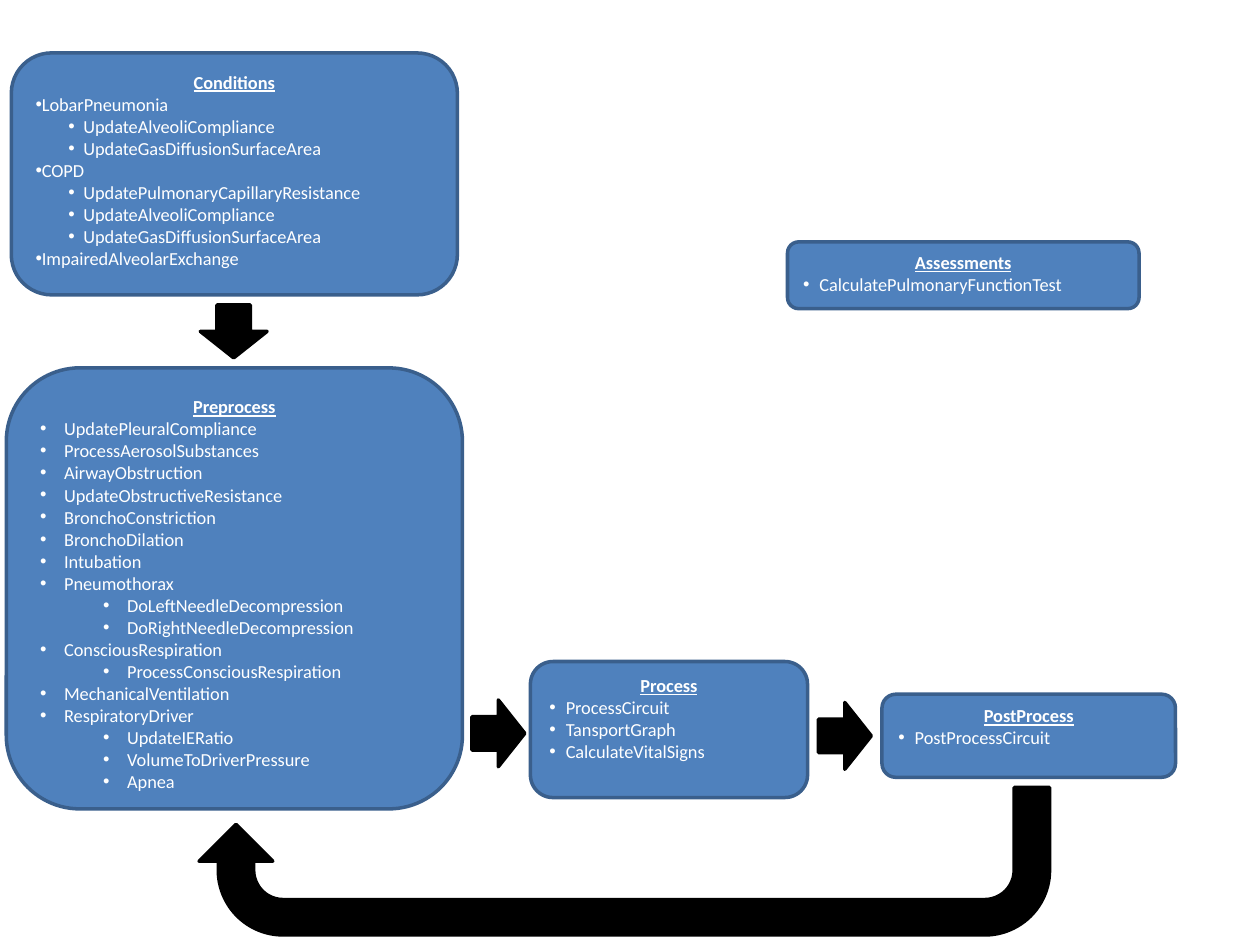
import dataclasses
import typing

import lxml.etree
import pptx
import pptx.dml.color
import pptx.enum.shapes
import pptx.enum.text
import pptx.oxml.ns
import pptx.util

Inches = pptx.util.Inches
Pt = pptx.util.Pt
RGB = pptx.dml.color.RGBColor
Shape = pptx.enum.shapes.MSO_SHAPE
Align = pptx.enum.text.PP_ALIGN
qn = pptx.oxml.ns.qn


@dataclasses.dataclass(frozen=True)
class Theme:
    box_fill: RGB = RGB(0x4F, 0x81, 0xBD)
    box_line: RGB = RGB(0x3A, 0x5F, 0x8C)
    arrow: RGB = RGB(0, 0, 0)
    text: RGB = RGB(255, 255, 255)
    font: str = "Calibri"
    text_size: float = 10.5
    line_width: float = 2


THEME = Theme()


class Area(typing.NamedTuple):
    left: float
    top: float
    width: float
    height: float


class Indent(typing.NamedTuple):
    margin: float
    hanging: float


class Item(typing.NamedTuple):
    text: str
    level: int = 0


@dataclasses.dataclass(frozen=True)
class Stage:
    heading: str
    area: Area
    items: tuple[Item, ...]
    indents: tuple[Indent, ...] = (Indent(0.13, 0.13),)


@dataclasses.dataclass(frozen=True)
class Arrow:
    area: Area
    rotation: float = 0
    preset: Shape = Shape.DOWN_ARROW
    adjustments: tuple[float, ...] = ()


STAGES = (
    Stage("Preprocess", Area(0.05, 2.92, 3.62, 3.5), (
        Item("UpdatePleuralCompliance"),
        Item("ProcessAerosolSubstances"),
        Item("AirwayObstruction"),
        Item("UpdateObstructiveResistance"),
        Item("BronchoConstriction"),
        Item("BronchoDilation"),
        Item("Intubation"),
        Item("Pneumothorax"),
        Item("DoLeftNeedleDecompression", 1),
        Item("DoRightNeedleDecompression", 1),
        Item("ConsciousRespiration"),
        Item("ProcessConsciousRespiration", 1),
        Item("MechanicalVentilation"),
        Item("RespiratoryDriver"),
        Item("UpdateIERatio", 1),
        Item("VolumeToDriverPressure", 1),
        Item("Apnea", 1),
    ), (Indent(0.19, 0.19), Indent(0.69, 0.19))),
    Stage("Process", Area(4.21, 5.25, 2.2, 1.08), (
        Item("ProcessCircuit"),
        Item("TansportGraph"),
        Item("CalculateVitalSigns"),
    )),
    Stage("PostProcess", Area(7, 5.51, 2.33, 0.66), (Item("PostProcessCircuit"),)),
    Stage("Conditions", Area(0.09, 0.42, 3.54, 1.92), (
        Item("LobarPneumonia"),
        Item("UpdateAlveoliCompliance", 1),
        Item("UpdateGasDiffusionSurfaceArea", 1),
        Item("COPD"),
        Item("UpdatePulmonaryCapillaryResistance", 1),
        Item("UpdateAlveoliCompliance", 1),
        Item("UpdateGasDiffusionSurfaceArea", 1),
        Item("ImpairedAlveolarExchange"),
    ), (Indent(0, 0.24), Indent(0.38, 0.12))),
    Stage("Assessments", Area(6.25, 1.92, 2.79, 0.53),
          (Item("CalculatePulmonaryFunctionTest"),)),
)

ARROWS = (
    Arrow(Area(3.69, 5.61, 0.53, 0.42), 270),  # Preprocess to Process
    Arrow(Area(6.44, 5.63, 0.53, 0.42), 270),  # Process to PostProcess
    Arrow(Area(1.59, 2.42, 0.53, 0.42)),  # Conditions to Preprocess
    Arrow(Area(1.58, 6.25, 6.75, 1.17), 180, Shape.U_TURN_ARROW,
          (0.24, 0.25, 0.25, 0.44, 0.75)),  # back to Preprocess
)


def add_figure(slide, preset: Shape, area: Area, fill: RGB, line: RGB):
    figure = slide.shapes.add_shape(preset, *map(Inches, area))
    figure.shadow.inherit = False
    figure.fill.solid()
    figure.fill.fore_color.rgb = fill
    figure.line.color.rgb = line
    figure.line.width = Pt(THEME.line_width)
    return figure


def format_text(paragraph, heading: bool = False) -> None:
    paragraph.alignment = Align.CENTER if heading else Align.LEFT
    font = paragraph.font
    font.name = THEME.font
    font.size = Pt(THEME.text_size)
    font.color.rgb = THEME.text
    font.bold = heading
    font.underline = heading


def set_bullet(paragraph, indent: Indent) -> None:
    properties = paragraph._p.get_or_add_pPr()
    properties.set("marL", str(Inches(indent.margin)))
    properties.set("indent", str(-Inches(indent.hanging)))
    lxml.etree.SubElement(properties, qn("a:buFont"), typeface="Arial")
    lxml.etree.SubElement(properties, qn("a:buChar"), char="•")


def add_stage(slide, stage: Stage) -> None:
    box = add_figure(slide, Shape.ROUNDED_RECTANGLE, stage.area,
                     THEME.box_fill, THEME.box_line)
    frame = box.text_frame
    frame.word_wrap = True
    frame.vertical_anchor = pptx.enum.text.MSO_ANCHOR.TOP
    heading = frame.paragraphs[0]
    heading.text = stage.heading
    format_text(heading, heading=True)
    for item in stage.items:
        entry = frame.add_paragraph()
        entry.text = item.text
        entry.level = item.level
        set_bullet(entry, stage.indents[item.level])
        format_text(entry)


def add_arrow(slide, arrow: Arrow) -> None:
    figure = add_figure(slide, arrow.preset, arrow.area, THEME.arrow, THEME.arrow)
    figure.rotation = arrow.rotation
    for index, value in enumerate(arrow.adjustments):
        figure.adjustments[index] = value


def main() -> None:
    deck = pptx.Presentation()
    deck.slide_width, deck.slide_height = Inches(10), Inches(7.5)
    slide = deck.slides.add_slide(deck.slide_layouts[6])
    # Stages of the respiratory model
    for stage in STAGES:
        add_stage(slide, stage)
    # Flow between the stages
    for arrow in ARROWS:
        add_arrow(slide, arrow)
    deck.save("out.pptx")


if __name__ == "__main__":
    main()
